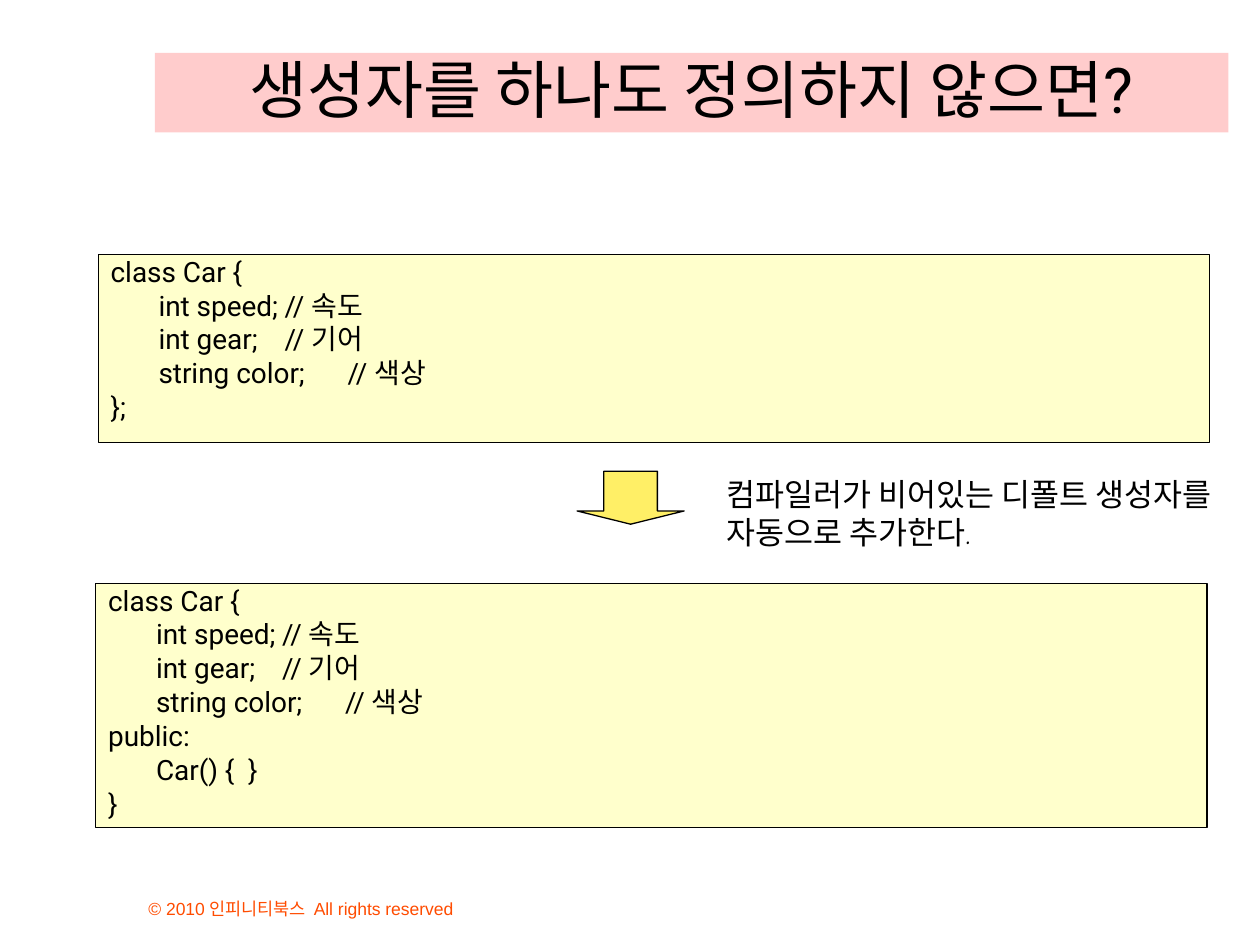
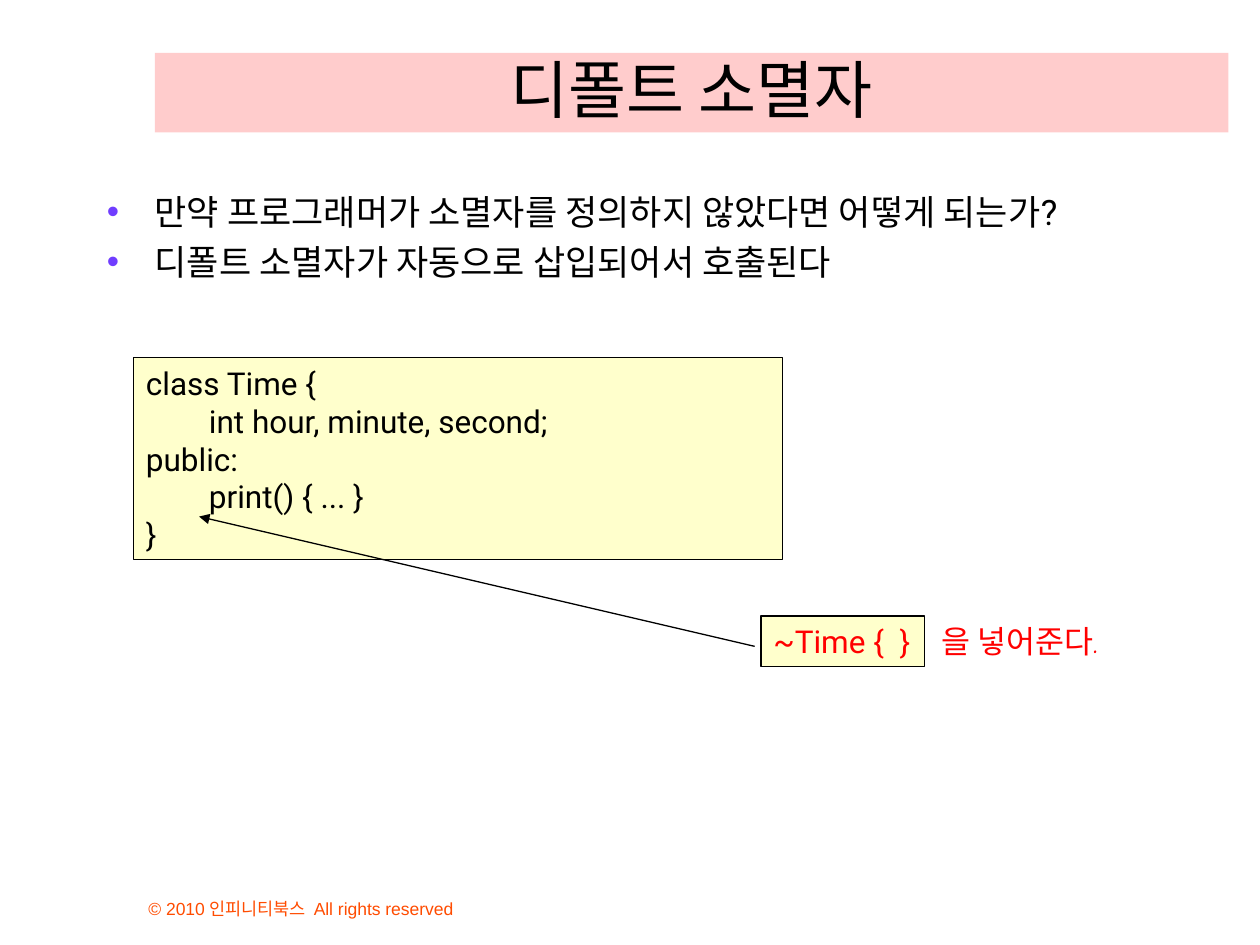
from dataclasses import dataclass
from typing import Optional

import lxml.etree
import pptx
import pptx.dml.color
import pptx.enum.shapes
import pptx.enum.text
import pptx.oxml.ns
import pptx.util

Inches = pptx.util.Inches
Pt = pptx.util.Pt
RGBColor = pptx.dml.color.RGBColor
Anchor = pptx.enum.text.MSO_ANCHOR
AutoSize = pptx.enum.text.MSO_AUTO_SIZE
Preset = pptx.enum.shapes.MSO_SHAPE
qn = pptx.oxml.ns.qn

BLACK = RGBColor(0x00, 0x00, 0x00)
RED = RGBColor(0xFF, 0x00, 0x00)
TITLE_PINK = RGBColor(0xFF, 0xCC, 0xCC)
CODE_CREAM = RGBColor(0xFF, 0xFF, 0xCC)
ARROW_YELLOW = RGBColor(0xFF, 0xEF, 0x66)
BULLET_PURPLE = RGBColor(0x70, 0x3D, 0xFF)
FOOTER_ORANGE = RGBColor(0xFF, 0x4C, 0x00)

CODE_FONT = "Roboto"
NOTE_FONT = "Comic Neue"
FOOTER_FONT = "Arial"
KOREAN_FONT = "Noto Sans CJK KR"

HANGING = 0.38
LINE_WIDTH = Pt(0.75)


@dataclass(frozen=True)
class Box:
    left: float
    top: float
    width: float
    height: float

    def lengths(self) -> tuple:
        return tuple(map(Inches, (self.left, self.top, self.width, self.height)))


@dataclass(frozen=True)
class Style:
    size: float
    font: str = CODE_FONT
    color: RGBColor = BLACK
    hanging: float = 0
    line_spacing: Optional[float] = None
    space_before: float = 0
    bullet: str = ""
    first_tab: int = 0


@dataclass(frozen=True)
class Line:
    text: str
    comment: str = ""


@dataclass(frozen=True)
class Panel:
    box: Box
    lines: tuple[Line, ...]
    style: Style
    fill: Optional[RGBColor] = None
    anchor: Anchor = Anchor.TOP
    wrap: bool = True
    grow: bool = False


TITLE_BOX = Box(1.23, 0.42, 8.52, 0.63)
TITLE_STYLE = Style(36)
CLASS_STYLE = Style(16, hanging=HANGING, line_spacing=0.8, space_before=4)
TIME_STYLE = Style(18)
BULLET_STYLE = Style(20, hanging=HANGING, space_before=5, bullet="•", first_tab=1)

FOOTER = Panel(
    Box(1.08, 6.92, 3.83, 0.42),
    (Line("© 2010 인피니티북스  All rights reserved"),),
    Style(10, FOOTER_FONT, FOOTER_ORANGE),
    anchor=Anchor.BOTTOM,
)

CAR_MEMBERS = (
    Line("class Car {"),
    Line("\tint speed;\t// ", "속도"),
    Line("\tint gear;\t// ", "기어"),
    Line("\tstring color;\t// ", "색상"),
)

CONSTRUCTOR_PANELS = (
    Panel(Box(0.78, 2.02, 8.82, 1.49), CAR_MEMBERS + (Line("};"),), CLASS_STYLE, CODE_CREAM),
    Panel(
        Box(0.76, 4.63, 8.82, 1.94),
        CAR_MEMBERS + (Line("public:"), Line("\tCar() {  }"), Line("}")),
        CLASS_STYLE,
        CODE_CREAM,
    ),
    Panel(
        Box(5.67, 3.72, 4.16, 0.7),
        (Line("컴파일러가 비어있는 디폴트 생성자를"), Line("자동으로 추가한다.")),
        Style(18, NOTE_FONT),
        wrap=False,
        grow=True,
    ),
)

DESTRUCTOR_PANELS = (
    Panel(
        Box(0.75, 1.46, 8.98, 4.54),
        (
            Line("만약 프로그래머가 소멸자를 정의하지 않았다면 어떻게 되는가?"),
            Line("디폴트 소멸자가 자동으로 삽입되어서 호출된다"),
        ),
        BULLET_STYLE,
    ),
    Panel(
        Box(1.06, 2.84, 5.15, 1.6),
        (
            Line("class Time {"),
            Line("\tint hour, minute, second;"),
            Line("public:"),
            Line("\tprint() { ... }"),
            Line("}"),
        ),
        TIME_STYLE,
        CODE_CREAM,
        grow=True,
    ),
    Panel(
        Box(6.04, 4.89, 1.3, 0.4),
        (Line("~Time {  }"),),
        Style(18, color=RED),
        CODE_CREAM,
        wrap=False,
        grow=True,
    ),
    Panel(
        Box(7.37, 4.89, 1.52, 0.4),
        (Line("을 넣어준다."),),
        Style(18, NOTE_FONT, RED),
        wrap=False,
        grow=True,
    ),
)


def add_child(parent, tag: str, **attributes: str):
    return lxml.etree.SubElement(parent, qn(tag), attributes)


def add_run(paragraph, text: str, font_name: str, style: Style) -> None:
    run = paragraph.add_run()
    run.text = text
    run.font.name = font_name
    run.font.size = Pt(style.size)
    run.font.color.rgb = style.color
    latin = run.font._element.find(qn("a:latin"))
    east_asian = lxml.etree.Element(qn("a:ea"), typeface=KOREAN_FONT)
    latin.addnext(east_asian)


def format_paragraph(paragraph, style: Style, is_first: bool) -> None:
    properties = paragraph._p.get_or_add_pPr()
    properties.set("marL", str(Inches(style.hanging)))
    properties.set("indent", str(-Inches(style.hanging)))
    if style.bullet:
        bullet_color = add_child(properties, "a:buClr")
        add_child(bullet_color, "a:srgbClr", val=str(BULLET_PURPLE))
        add_child(properties, "a:buFont", typeface=FOOTER_FONT)
        add_child(properties, "a:buChar", char=style.bullet)
    tabs = add_child(properties, "a:tabLst")
    for inch in range(style.first_tab, style.first_tab + 8):
        add_child(tabs, "a:tab", pos=str(Inches(inch)), algn="l")
    paragraph.alignment = pptx.enum.text.PP_ALIGN.LEFT
    paragraph.space_before = Pt(0 if is_first else style.space_before)
    if style.line_spacing:
        paragraph.line_spacing = style.line_spacing


def paint(shape, fill: RGBColor) -> None:
    shape.shadow.inherit = False
    shape.fill.solid()
    shape.fill.fore_color.rgb = fill
    shape.line.color.rgb = BLACK
    shape.line.width = LINE_WIDTH


def add_panel(slide, panel: Panel) -> None:
    if panel.fill is None:
        shape = slide.shapes.add_textbox(*panel.box.lengths())
    else:
        shape = slide.shapes.add_shape(Preset.RECTANGLE, *panel.box.lengths())
        paint(shape, panel.fill)
    frame = shape.text_frame
    frame.word_wrap = panel.wrap
    frame.auto_size = AutoSize.SHAPE_TO_FIT_TEXT if panel.grow else AutoSize.NONE
    frame.vertical_anchor = panel.anchor
    for index, line in enumerate(panel.lines):
        paragraph = frame.add_paragraph() if index else frame.paragraphs[0]
        format_paragraph(paragraph, panel.style, index == 0)
        add_run(paragraph, line.text, panel.style.font, panel.style)
        if line.comment:
            add_run(paragraph, line.comment, KOREAN_FONT, panel.style)


def add_titled_slide(deck, heading: str, panels: tuple[Panel, ...]):
    slide = deck.slides.add_slide(deck.slide_layouts.get_by_name("Title Only"))
    title = slide.shapes.title
    title.left, title.top, title.width, title.height = TITLE_BOX.lengths()
    title.fill.solid()
    title.fill.fore_color.rgb = TITLE_PINK
    frame = title.text_frame
    frame.auto_size = AutoSize.NONE
    frame.word_wrap = True
    frame.vertical_anchor = Anchor.BOTTOM
    paragraph = frame.paragraphs[0]
    paragraph.alignment = pptx.enum.text.PP_ALIGN.CENTER
    add_run(paragraph, heading, TITLE_STYLE.font, TITLE_STYLE)
    for panel in (FOOTER,) + panels:
        add_panel(slide, panel)
    return slide


def add_down_arrow(slide, box: Box) -> None:
    arrow = slide.shapes.add_shape(Preset.DOWN_ARROW, *box.lengths())
    arrow.adjustments[0] = 0.5
    arrow.adjustments[1] = 0.25
    paint(arrow, ARROW_YELLOW)


def add_pointer(slide, start: tuple[float, float], end: tuple[float, float]) -> None:
    pointer = slide.shapes.add_connector(
        pptx.enum.shapes.MSO_CONNECTOR.STRAIGHT, *map(Inches, start + end)
    )
    pointer.line.color.rgb = BLACK
    pointer.line.width = LINE_WIDTH
    add_child(pointer.line._get_or_add_ln(), "a:tailEnd", type="triangle")
    add_child(pointer._element.spPr, "a:effectLst")


def main() -> None:
    deck = pptx.Presentation()
    deck.slide_width = Inches(10)
    deck.slide_height = Inches(7.5)

    constructor = add_titled_slide(deck, "생성자를 하나도 정의하지 않으면?", CONSTRUCTOR_PANELS)
    add_down_arrow(constructor, Box(4.58, 3.74, 0.85, 0.42))

    destructor = add_titled_slide(deck, "디폴트 소멸자", DESTRUCTOR_PANELS)
    add_pointer(destructor, (5.99, 5.13), (1.58, 4.1))

    deck.save("out.pptx")


if __name__ == "__main__":
    main()
